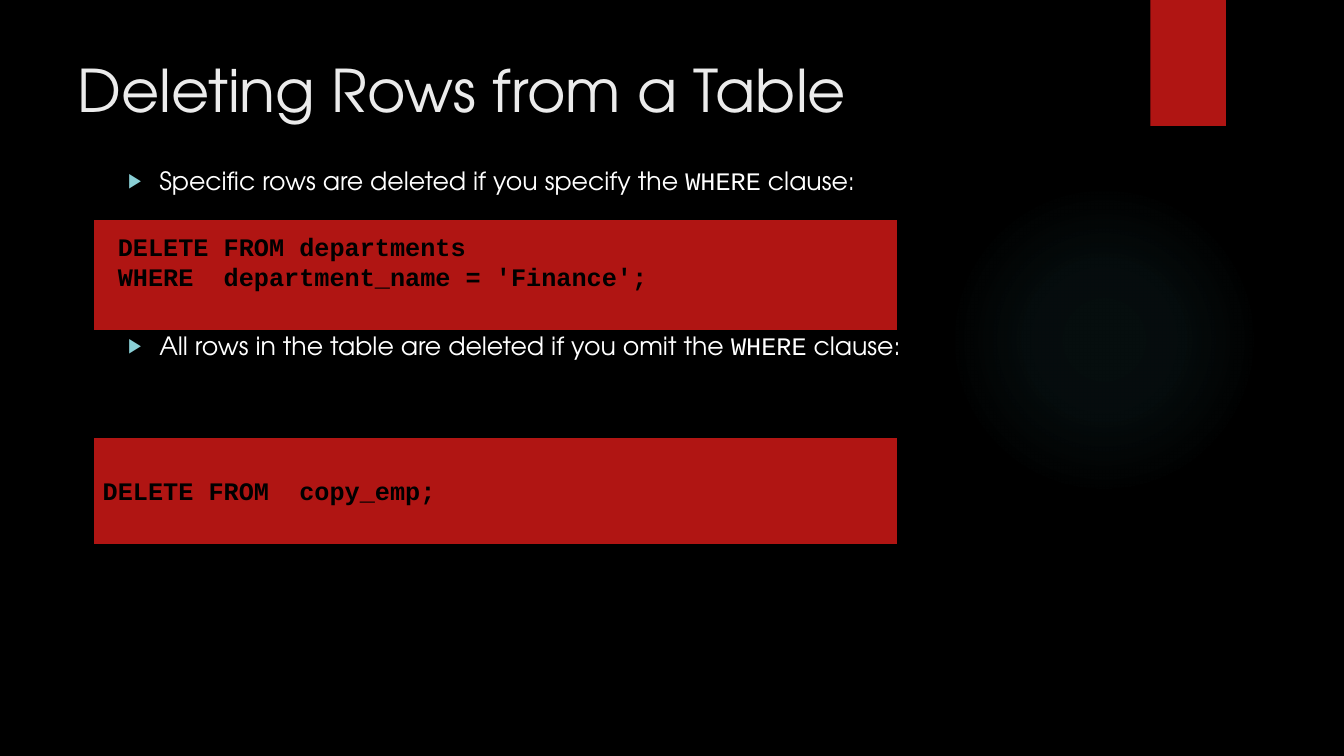
from dataclasses import dataclass

import pptx
import pptx.dml.color
import pptx.enum.shapes
import pptx.enum.text
import pptx.oxml
import pptx.oxml.ns
import pptx.util

Inches = pptx.util.Inches
Pt = pptx.util.Pt
SHAPE = pptx.enum.shapes.MSO_SHAPE
ANCHOR = pptx.enum.text.MSO_ANCHOR

COLORS = {"background": "000000", "red": "B01513", "title": "EBEBEB",
          "body": "FFFFFF", "code": "000000", "bullet": "8AD0D6",
          "glow": "50B9C1"}
SANS, MONO = "TeX Gyre Adventor", "Courier New"
GLOW_STOPS = [(0, 7), (36, 6), (69, 0)]  # position %, opacity %


@dataclass
class Bullet:
    before: str
    keyword: str
    after: str
    space_before: float


@dataclass
class CodeBox:
    top: float
    height: float
    bottom_inset: float
    lines: list[str]


BULLETS = [
    Bullet("Specific rows are deleted if you specify the ", "WHERE", " clause:", 0),
    Bullet("All rows in the table are deleted if you omit the ", "WHERE",
           " clause:", 96.4),
]
CODE_BOXES = [
    CodeBox(2.17, 1.12, 0.33, [" DELETE FROM departments",
                               " WHERE  department_name = 'Finance';"]),
    CodeBox(4.33, 1.08, 0.05, ["DELETE FROM  copy_emp;"]),
]


def rgb(name: str) -> pptx.dml.color.RGBColor:
    return pptx.dml.color.RGBColor.from_string(COLORS[name])


def add_run(p, text: str, color: str, **font) -> None:
    r = p.add_run()
    r.text = text
    for key, value in font.items():
        setattr(r.font, key, value)
    r.font.color.rgb = rgb(color)


def set_frame(tf, **extra) -> None:
    values = {"word_wrap": True, "auto_size": pptx.enum.text.MSO_AUTO_SIZE.NONE,
              "margin_left": Inches(0.1), "margin_right": Inches(0.1),
              "margin_top": Inches(0.05), "margin_bottom": Inches(0.05)}
    for key, value in (values | extra).items():
        setattr(tf, key, value)


def place(sp, left: float, top: float, width: float, height: float) -> None:
    box = {"left": left, "top": top, "width": width, "height": height}
    for key, value in box.items():
        setattr(sp, key, Inches(value))


def add_block(slide, kind, left: float, top: float, width: float, height: float):
    sp = slide.shapes.add_shape(kind, *map(Inches, (left, top, width, height)))
    sp.shadow.inherit = False
    sp.fill.solid()
    sp.fill.fore_color.rgb = rgb("red")
    sp.line.fill.background()
    return sp


def add_glow(slide) -> None:
    sp = add_block(slide, SHAPE.OVAL, 9.41, 1.83, 3.08, 3.08)
    stops = "".join(
        f'<a:gs pos="{pos * 1000}"><a:srgbClr val="{COLORS["glow"]}">'
        f'<a:alpha val="{alpha * 1000}"/></a:srgbClr></a:gs>'
        for pos, alpha in GLOW_STOPS)
    grad = pptx.oxml.parse_xml(
        f'<a:gradFill {pptx.oxml.ns.nsdecls("a")}><a:gsLst>{stops}</a:gsLst>'
        '<a:path path="circle"><a:fillToRect l="50000" t="50000" r="50000" '
        'b="50000"/></a:path></a:gradFill>')
    spPr = sp.element.spPr
    spPr.replace(spPr.find(pptx.oxml.ns.qn("a:solidFill")), grad)


def add_bullet(p, item: Bullet) -> None:
    pPr = p._p.get_or_add_pPr()
    pPr.set("marL", str(Inches(0.81)))
    pPr.set("indent", str(Inches(-0.31)))
    for tag in (f'<a:buClr {{}}><a:srgbClr val="{COLORS["bullet"]}"/></a:buClr>',
                '<a:buSzPct {} val="80000"/>', '<a:buChar {} char="▶"/>'):
        pPr.append(pptx.oxml.parse_xml(tag.format(pptx.oxml.ns.nsdecls("a"))))
    p.space_before = Pt(item.space_before)
    for text, name in ((item.before, SANS), (item.keyword, MONO), (item.after, SANS)):
        add_run(p, text, "body", name=name, size=Pt(18))


def add_code(slide, box: CodeBox) -> None:
    sp = add_block(slide, SHAPE.RECTANGLE, 0.92, box.top, 7.99, box.height)
    sp.line.color.rgb = rgb("background")
    sp.line.width = Pt(2.25)
    tf = sp.text_frame
    set_frame(tf, vertical_anchor=ANCHOR.MIDDLE,
              margin_bottom=Inches(box.bottom_inset))
    for i, line in enumerate(box.lines):
        p = tf.add_paragraph() if i else tf.paragraphs[0]
        p.alignment = pptx.enum.text.PP_ALIGN.LEFT
        add_run(p, line, "code", name=MONO, size=Pt(18), bold=True)


def main() -> None:
    prs = pptx.Presentation()
    prs.slide_width, prs.slide_height = Inches(13.33), Inches(7.5)
    slide = prs.slides.add_slide(prs.slide_layouts[1])
    slide.background.fill.solid()
    slide.background.fill.fore_color.rgb = rgb("background")

    # Backdrop: soft glow and red bookmark
    add_glow(slide)
    add_block(slide, SHAPE.RECTANGLE, 11.41, 0, 0.75, 1.25)

    # Title
    title = slide.shapes.title
    place(title, 0.67, 0.48, 8.66, 0.96)
    set_frame(title.text_frame, vertical_anchor=ANCHOR.TOP)
    p = title.text_frame.paragraphs[0]
    p.alignment = pptx.enum.text.PP_ALIGN.LEFT
    add_run(p, "Deleting Rows from a Table", "title", name=SANS, size=Pt(42))

    # Bulleted statements
    body = slide.placeholders[1]
    place(body, 0.67, 1.59, 8.66, 2.66)
    tf = body.text_frame
    set_frame(tf, vertical_anchor=ANCHOR.TOP)
    for i, item in enumerate(BULLETS):
        add_bullet(tf.add_paragraph() if i else tf.paragraphs[0], item)

    # SQL examples
    for box in CODE_BOXES:
        add_code(slide, box)

    prs.save("out.pptx")


if __name__ == "__main__":
    main()
